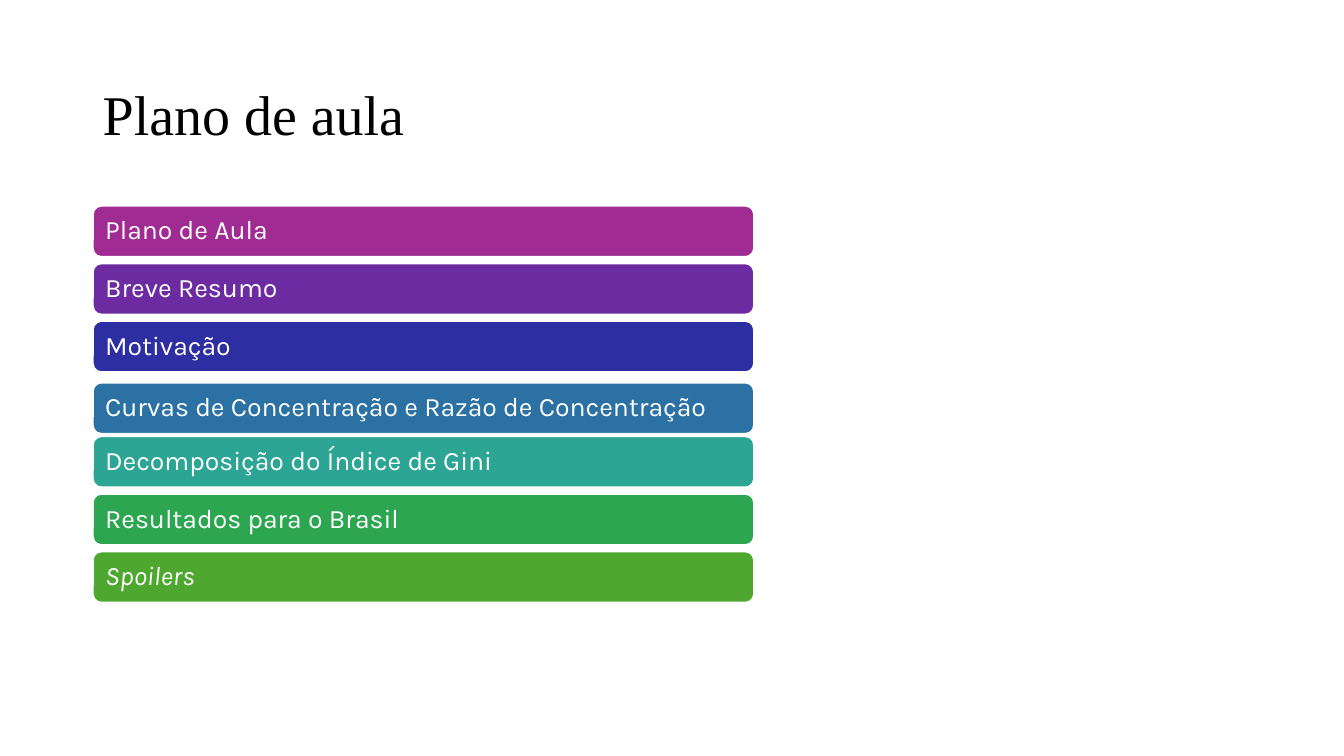
from dataclasses import dataclass

from pptx import Presentation
from pptx.dml.color import RGBColor
from pptx.enum.shapes import MSO_SHAPE
from pptx.enum.text import MSO_ANCHOR, PP_ALIGN
from pptx.util import Inches, Pt


@dataclass(frozen=True)
class Theme:
    title_font: str = "Times New Roman"
    topic_font: str = "Karla"
    title_size: int = 40
    topic_size: int = 19
    title_color: str = "000000"
    white: str = "FFFFFF"
    bars: tuple = ("A02B93", "6C2BA1", "2C2EA2", "2C71A4",
                   "2DA594", "2DA651", "4EA72E")


theme = Theme()


def write_text(shape, text, font_name, size, color, italic=None):
    """Fill a shape with one left-aligned, vertically centred line."""
    frame = shape.text_frame
    frame.word_wrap = True
    frame.vertical_anchor = MSO_ANCHOR.MIDDLE
    frame.margin_left = frame.margin_right = Inches(0.1)
    frame.margin_top = frame.margin_bottom = Inches(0.05)
    paragraph = frame.paragraphs[0]
    paragraph.alignment = PP_ALIGN.LEFT
    paragraph.line_spacing = 0.9
    run = paragraph.add_run()
    run.text = text
    run.font.name = font_name
    run.font.size = Pt(size)
    run.font.italic = italic
    run.font.color.rgb = RGBColor.from_string(color)


presentation = Presentation()
presentation.slide_width = Inches(13.33)
presentation.slide_height = Inches(7.5)
slide = presentation.slides.add_slide(presentation.slide_layouts[6])

# Shared column
left, width = 0.92, 6.56

# Title
title = slide.shapes.add_textbox(
    Inches(left), Inches(0.79), Inches(width), Inches(0.74))
write_text(title, "Plano de aula", theme.title_font, theme.title_size,
           theme.title_color)

# Topic bars: evenly spaced, with the fourth set slightly lower
topics = ["Plano de Aula", "Breve Resumo", "Motivação",
          "Curvas de Concentração e Razão de Concentração",
          "Decomposição do Índice de Gini", "Resultados para o Brasil",
          "Spoilers"]
first_top, last_top, bar_height = 2.04, 5.47, 0.51
pitch = (last_top - first_top) / (len(topics) - 1)
nudges = {3: 0.04}

for index, (topic, color) in enumerate(zip(topics, theme.bars)):
    top = first_top + index * pitch + nudges.get(index, 0)
    bar = slide.shapes.add_shape(
        MSO_SHAPE.ROUNDED_RECTANGLE,
        Inches(left), Inches(top), Inches(width), Inches(bar_height))
    bar.shadow.inherit = False
    bar.fill.solid()
    bar.fill.fore_color.rgb = RGBColor.from_string(color)
    bar.line.color.rgb = RGBColor.from_string(theme.white)
    bar.line.width = Pt(1.5)
    write_text(bar, topic, theme.topic_font, theme.topic_size, theme.white,
               italic=topic == "Spoilers")

presentation.save("out.pptx")
